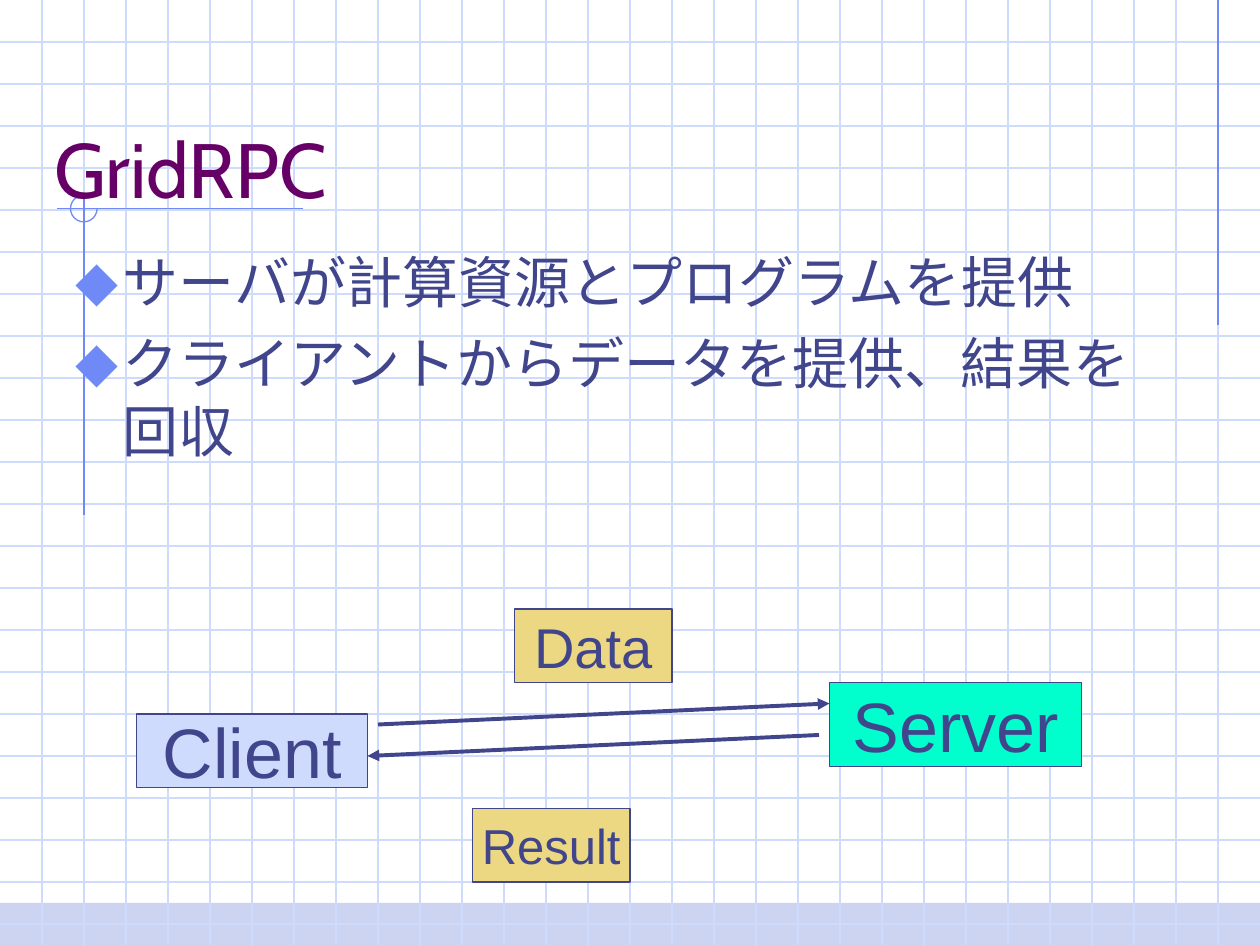
from lxml.etree import SubElement
from pptx import Presentation
from pptx.dml.color import RGBColor
from pptx.enum.shapes import MSO_CONNECTOR as Connector, MSO_SHAPE as Shape
from pptx.enum.text import MSO_ANCHOR as Anchor, MSO_AUTO_SIZE as AutoSize, PP_ALIGN as Align
from pptx.oxml.ns import qn
from pptx.util import Pt

WIDTH, HEIGHT, GRID = 720, 540, 24


def color(value):
    return RGBColor.from_string(value)


class SlideBuilder:
    ink = "40458C"
    accent = "6F89F7"
    pale = "CFDBFD"
    sand = "ECD882"
    heading = "660066"
    text_font = "Cabin"
    label_font = "Arial"

    def __init__(self, page):
        self.page = page

    def format_text(self, para, font, size, fill):
        for span in para.runs:
            span.font.name = font
            span.font.size = Pt(size)
            span.font.color.rgb = color(fill)

    def line(self, start, end, stroke, weight=0.75, arrow=False):
        points = [Pt(value) for value in (*start, *end)]
        connector = self.page.shapes.add_connector(Connector.STRAIGHT, *points)
        connector.line.color.rgb = color(stroke)
        connector.line.width = Pt(weight)
        if arrow:
            SubElement(connector.line._get_or_add_ln(), qn("a:tailEnd"), type="triangle")
        SubElement(connector._element.spPr, qn("a:effectLst"))

    def shape(self, kind, bounds, fill=None, stroke=None):
        shape = self.page.shapes.add_shape(kind, *[Pt(value) for value in bounds])
        shape.shadow.inherit = False
        if fill:
            shape.fill.solid()
            shape.fill.fore_color.rgb = color(fill)
        else:
            shape.fill.background()
        if stroke:
            shape.line.color.rgb = color(stroke)
            shape.line.width = Pt(0.75)
        else:
            shape.line.fill.background()
        return shape

    def label_box(self, text, bounds, fill, size):
        box = self.shape(Shape.RECTANGLE, bounds, fill, self.ink)
        frame = box.text_frame
        frame.text = text
        frame.word_wrap = False
        frame.vertical_anchor = Anchor.MIDDLE
        para = frame.paragraphs[0]
        para.alignment = Align.CENTER
        self.format_text(para, self.label_font, size, self.ink)

    def placeholder(self, holder, bounds, text, anchor):
        holder.left, holder.top, holder.width, holder.height = [Pt(value) for value in bounds]
        element = holder._element
        element.getparent().append(element)
        frame = holder.text_frame
        frame.text = text
        frame.auto_size = AutoSize.NONE
        frame.vertical_anchor = anchor
        return frame.paragraphs

    def title(self, text, bounds):
        for para in self.placeholder(self.page.shapes.title, bounds, text, Anchor.BOTTOM):
            para.alignment = Align.LEFT
            self.format_text(para, self.text_font, 44, self.heading)

    def bullets(self, items, bounds):
        body = self.page.placeholders[1]
        for para in self.placeholder(body, bounds, "\n".join(items), Anchor.TOP):
            para.space_before = Pt(8)
            self.format_text(para, self.text_font, 32, self.ink)
            props = para._p.get_or_add_pPr()
            props.set("marL", str(Pt(27)))
            props.set("indent", str(-Pt(27)))
            bullet_color = SubElement(props, qn("a:buClr"))
            SubElement(bullet_color, qn("a:srgbClr"), val=self.accent)
            SubElement(props, qn("a:buSzPct"), val="110000")
            SubElement(props, qn("a:buChar"), char="⬥")

    def background(self):
        self.shape(Shape.RECTANGLE, (0, 516, WIDTH, 24), "CDD4F1")
        for y in range(GRID, HEIGHT, GRID):
            self.line((0, y), (WIDTH, y), self.pale)
        for x in range(GRID, WIDTH, GRID):
            self.line((x, 0), (x, HEIGHT), self.pale)
        self.line((696, 0), (696, 186), self.accent)
        self.line((173, 119.2), (32.5, 119.2), self.accent)
        self.line((48, 111.6), (48, 294.5), self.accent)
        ring = self.shape(Shape.ARC, (40.3, 111.6, 15.2, 15.2), stroke=self.accent)
        ring.adjustments[0] = 0
        ring.adjustments[1] = 162


def main():
    deck = Presentation()
    deck.slide_width, deck.slide_height = Pt(WIDTH), Pt(HEIGHT)
    page = deck.slides.add_slide(deck.slide_layouts[1])
    builder = SlideBuilder(page)
    builder.background()
    builder.title("GridRPC", (24, 36, 678, 90))
    builder.label_box("Client", (78, 408, 132, 42), builder.pale, 40)
    builder.label_box("Server", (474, 390, 144, 48), "00FFCC", 40)
    builder.line((216, 414), (474, 402), builder.ink, 2.25, arrow=True)
    builder.bullets(
        ["サーバが計算資源とプログラムを提供", "クライアントからデータを提供、結果を回収"],
        (36, 138, 618, 162),
    )
    builder.label_box("Data", (294, 348, 90, 42), builder.sand, 32)
    builder.label_box("Result", (270, 462, 90, 42), builder.sand, 28)
    builder.line((468, 420), (210, 432), builder.ink, 2.25, arrow=True)
    deck.save("out.pptx")


if __name__ == "__main__":
    main()
